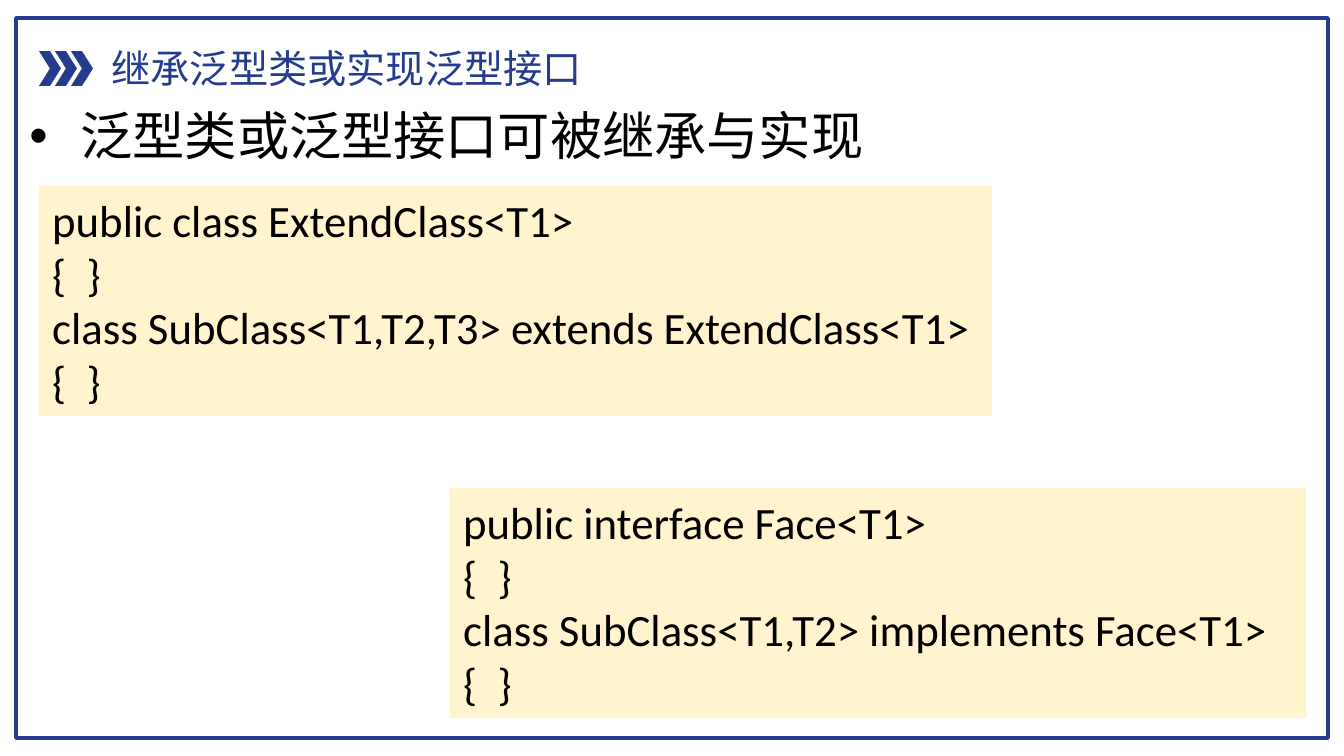
from dataclasses import dataclass

from lxml import etree
from pptx import Presentation
from pptx import util as u
from pptx.dml.color import RGBColor
from pptx.enum import shapes, text
from pptx.oxml import ns

PX = 914400 / 134.4  # EMU in one px


@dataclass(frozen=True)
class Theme:
    accent: str = "253C8E"
    code_fill: str = "FFF4CE"
    ink: str = "000000"
    cjk_font: str = "Noto Sans CJK SC"
    code_font: str = "Calibri"
    title_size: int = 21
    body_size: int = 28
    code_size: int = 24
    frame_width: int = 2


THEME = Theme()

# Boxes are left, top, width, height in px
SLIDE_SIZE = (1344, 756)
FRAME = (16, 18, 1312, 720)
TITLE = ("继承泛型类或实现泛型接口", (98, 38, 503, 60))
BODY = ("泛型类或泛型接口可被继承与实现", (16, 97, 1312, 89))
BULLET_INDENT = 51
CHEVRON = (39, 51, 22, 35)
CHEVRON_COUNT, CHEVRON_STEP = 3, 16
CODE_BLOCKS = [
    (
        (39, 186, 953, 230),
        ["public class ExtendClass<T1>", "{  }",
         "class SubClass<T1,T2,T3> extends ExtendClass<T1>", "{  }"],
    ),
    (
        (450, 488, 856, 230),
        ["public interface Face<T1>", "{  }",
         "class SubClass<T1,T2> implements Face<T1>", "{  }"],
    ),
]


def px(value):
    return u.Emu(round(value * PX))


def color(name):
    return RGBColor.from_string(name)


def place(shape, box):
    shape.left, shape.top, shape.width, shape.height = map(px, box)


def add_shape(slide, kind, box, fill=None, line=None):
    shape = slide.shapes.add_shape(kind, *map(px, box))
    shape.shadow.inherit = False
    if fill:
        shape.fill.solid()
        shape.fill.fore_color.rgb = color(fill)
    else:
        shape.fill.background()
    if line:
        shape.line.color.rgb = color(line)
        shape.line.width = u.Pt(THEME.frame_width)
    else:
        shape.line.fill.background()
    return shape


def write(shape, lines, font, size, ink, wrap=False):
    """Fill a shape with left-aligned paragraphs, starting at its top."""
    frame = shape.text_frame
    frame.text = "\n".join(lines)
    frame.word_wrap = wrap
    frame.auto_size = text.MSO_AUTO_SIZE.NONE
    frame.vertical_anchor = text.MSO_ANCHOR.TOP
    for para in frame.paragraphs:
        para.alignment = text.PP_ALIGN.LEFT
        para.space_before = u.Pt(0)
        para.font.name = font
        para.font.size = u.Pt(size)
        para.font.color.rgb = color(ink)
        latin = para._p.pPr.find(".//" + ns.qn("a:latin"))
        east_asian = etree.Element(ns.qn("a:ea"), typeface=font)
        latin.addnext(east_asian)


def add_bullet(para, indent):
    properties = para._p.pPr
    properties.set("marL", str(px(indent)))
    properties.set("indent", str(-px(indent)))
    defaults = properties.find(ns.qn("a:defRPr"))
    defaults.addprevious(etree.Element(ns.qn("a:buFont"), typeface="Arial"))
    defaults.addprevious(etree.Element(ns.qn("a:buChar"), char="•"))


def main():
    deck = Presentation()
    deck.slide_width, deck.slide_height = map(px, SLIDE_SIZE)
    page = deck.slides.add_slide(deck.slide_layouts[1])

    title, body = page.placeholders
    title_text, title_box = TITLE
    place(title, title_box)
    write(title, [title_text], THEME.cjk_font, THEME.title_size, THEME.accent)

    body_text, body_box = BODY
    place(body, body_box)
    write(body, [body_text], THEME.cjk_font, THEME.body_size, THEME.ink, wrap=True)
    add_bullet(body.text_frame.paragraphs[0], BULLET_INDENT)

    kinds = shapes.MSO_SHAPE
    add_shape(page, kinds.RECTANGLE, FRAME, line=THEME.accent)

    left, *rest = CHEVRON
    for index in range(CHEVRON_COUNT):
        box = (left + index * CHEVRON_STEP, *rest)
        add_shape(page, kinds.CHEVRON, box, fill=THEME.accent)

    for box, lines in CODE_BLOCKS:
        block = add_shape(page, kinds.RECTANGLE, box, fill=THEME.code_fill)
        write(block, lines, THEME.code_font, THEME.code_size, THEME.ink)

    deck.save("out.pptx")


if __name__ == "__main__":
    main()
